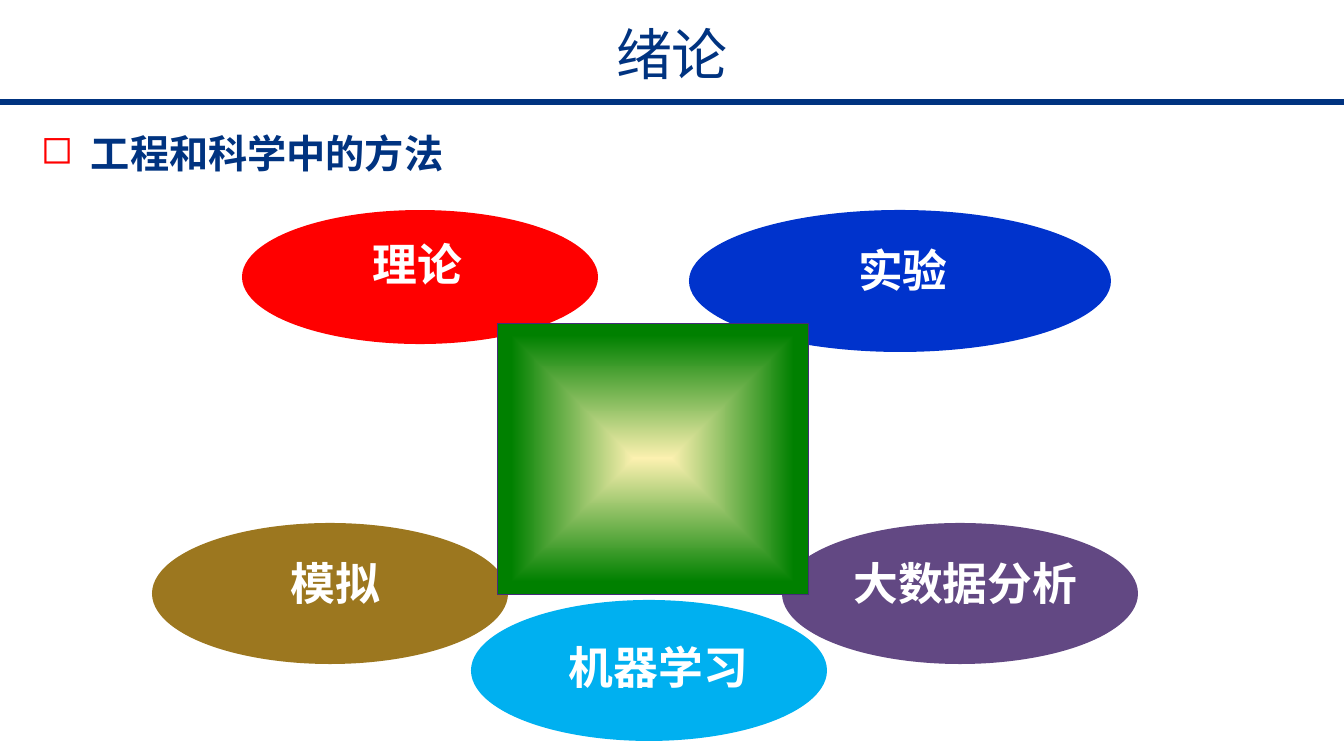
from lxml import etree
from pptx import Presentation
from pptx import util as u
from pptx.dml.color import RGBColor
from pptx.enum import shapes, text
from pptx.oxml import parse_xml
from pptx.oxml.ns import qn

PX = 914400 / 100.8
COLORS = {
    "navy": "003380", "red": "FF0000", "blue": "0033CC", "ochre": "9C771F",
    "purple": "624883", "sky": "00B0F0", "white": "FFFFFF",
    "cream": "FCF1B0", "green": "008000", "violet": "462C79",
}


def px(*lengths):
    return [round(length * PX) for length in lengths]


def add_words(box, words, size, font, color, bold=False, inset=(10, 5), align=text.PP_ALIGN.CENTER):
    frame = slide.shapes.add_textbox(*px(*box)).text_frame
    frame.word_wrap = True
    frame.vertical_anchor = text.MSO_ANCHOR.TOP
    frame.margin_left = frame.margin_right = px(inset[0])[0]
    frame.margin_top = frame.margin_bottom = px(inset[1])[0]
    paragraph = frame.paragraphs[0]
    paragraph.alignment = align
    run = paragraph.add_run()
    run.text = words
    run.font.size = u.Pt(size)
    run.font.bold = bold
    run.font.name = font
    run.font.color.rgb = RGBColor.from_string(COLORS[color])
    east_asian = etree.Element(qn("a:ea"), typeface="Noto Sans CJK SC")
    run.font._element.find(qn("a:latin")).addnext(east_asian)
    return paragraph


deck = Presentation()
deck.slide_width, deck.slide_height = px(1344, 756)
slide = deck.slides.add_slide(deck.slide_layouts[6])

# Title and rule
add_words((298, 14, 748, 78), "绪论", 40, "Noto Sans CJK SC", "navy")
rule = slide.shapes.add_connector(shapes.MSO_CONNECTOR.STRAIGHT, *px(0, 102, 1344, 102))
rule.line.color.rgb = RGBColor.from_string(COLORS["navy"])
rule.line.width = u.Pt(4.75)
etree.SubElement(rule._element.spPr, qn("a:effectLst"))

# Heading with a red square bullet
heading = add_words((31, 124, 872, 57), "工程和科学中的方法", 28, "Arial", "navy",
                    bold=True, align=text.PP_ALIGN.LEFT)
indent = heading._p.get_or_add_pPr()
hang = px(50)[0]
indent.set("marL", str(hang))
indent.set("indent", str(-hang))
bullet_color = etree.SubElement(indent, qn("a:buClr"))
etree.SubElement(bullet_color, qn("a:srgbClr"), val=COLORS["red"])
etree.SubElement(indent, qn("a:buChar"), char="◻")

# Methods: name, colour, ellipse box, label box
methods = [
    ("实验", "blue", (689, 210, 422, 142), (743, 239, 320, 48)),
    ("理论", "red", (242, 210, 356, 134), (295, 233, 245, 47)),
    ("模拟", "ochre", (152, 523, 356, 141), (197, 552, 277, 64)),
    ("大数据分析", "purple", (782, 523, 356, 141), (827, 552, 277, 64)),
    ("机器学习", "sky", (471, 600, 356, 141), (520, 636, 277, 64)),
]
for name, color, ellipse_box, label_box in methods:
    ellipse = slide.shapes.add_shape(shapes.MSO_SHAPE.OVAL, *px(*ellipse_box))
    ellipse.shadow.inherit = False
    ellipse.fill.solid()
    ellipse.fill.fore_color.rgb = RGBColor.from_string(COLORS[color])
    ellipse.line.fill.background()
    add_words(label_box, name, 32, "Calibri", "white", bold=True, inset=(7, 4))

# Central square, glowing from its middle
core = slide.shapes.add_shape(shapes.MSO_SHAPE.RECTANGLE, *px(497, 323, 311, 271))
core.shadow.inherit = False
core.line.color.rgb = RGBColor.from_string(COLORS["violet"])
core.line.width = u.Pt(0.5)
glow = parse_xml(
    '<a:gradFill xmlns:a="http://schemas.openxmlformats.org/drawingml/2006/main" rotWithShape="1">'
    f'<a:gsLst><a:gs pos="0"><a:srgbClr val="{COLORS["cream"]}"/></a:gs>'
    f'<a:gs pos="91000"><a:srgbClr val="{COLORS["green"]}"/></a:gs></a:gsLst>'
    '<a:path path="shape"><a:fillToRect l="50000" t="50000" r="50000" b="50000"/></a:path>'
    '</a:gradFill>')
core._element.spPr.find(qn("a:prstGeom")).addnext(glow)

deck.save("out.pptx")
